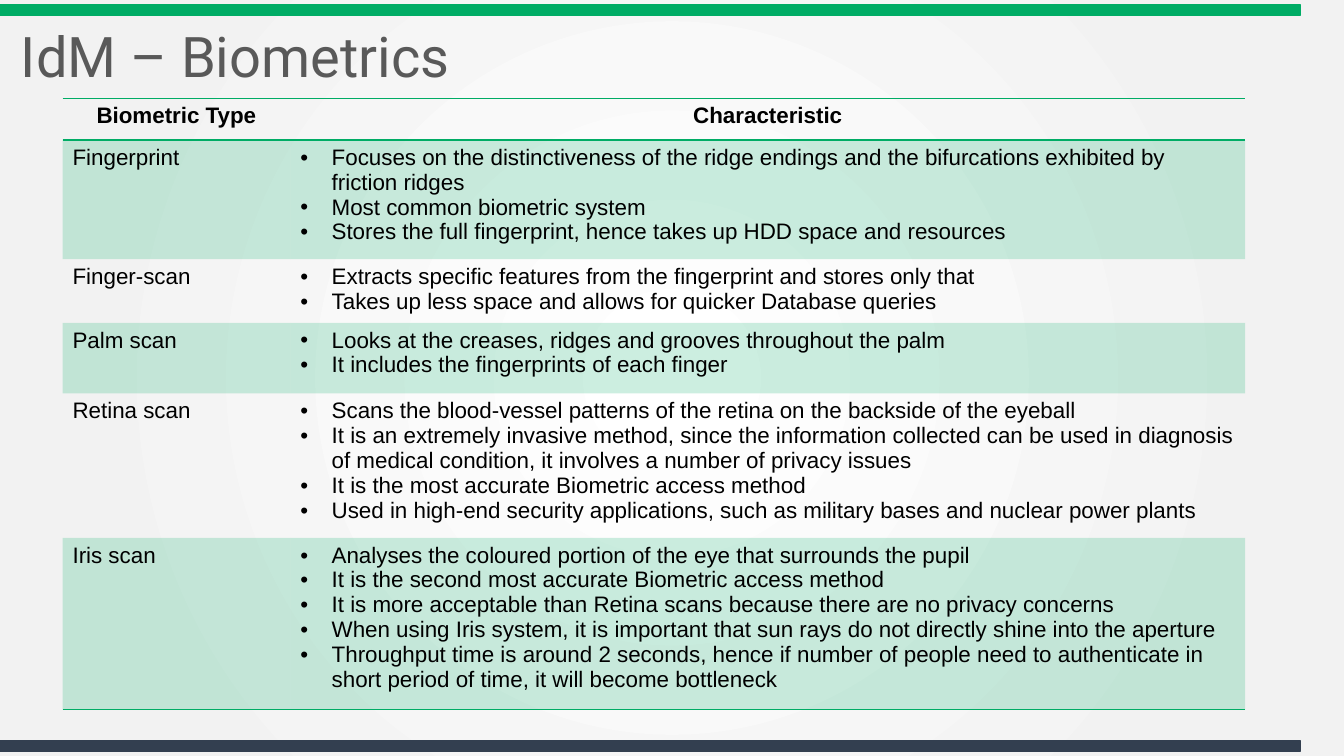
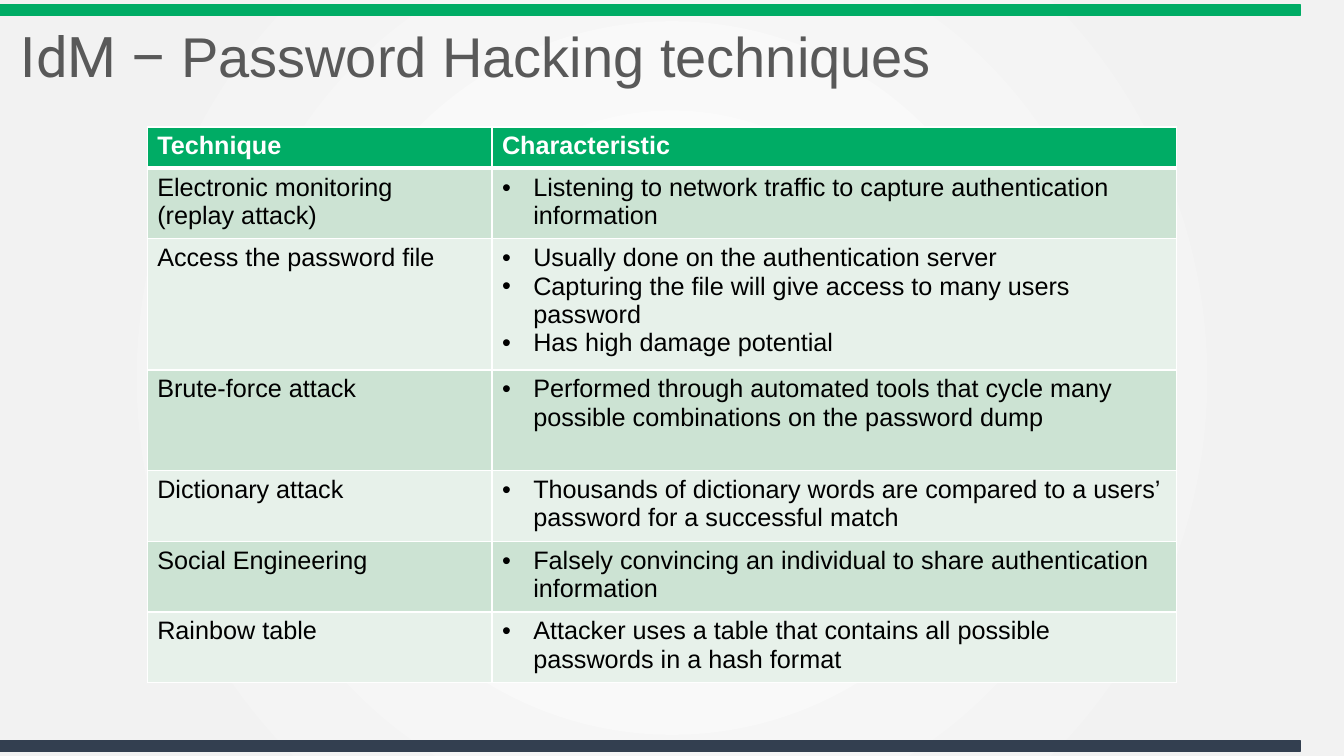
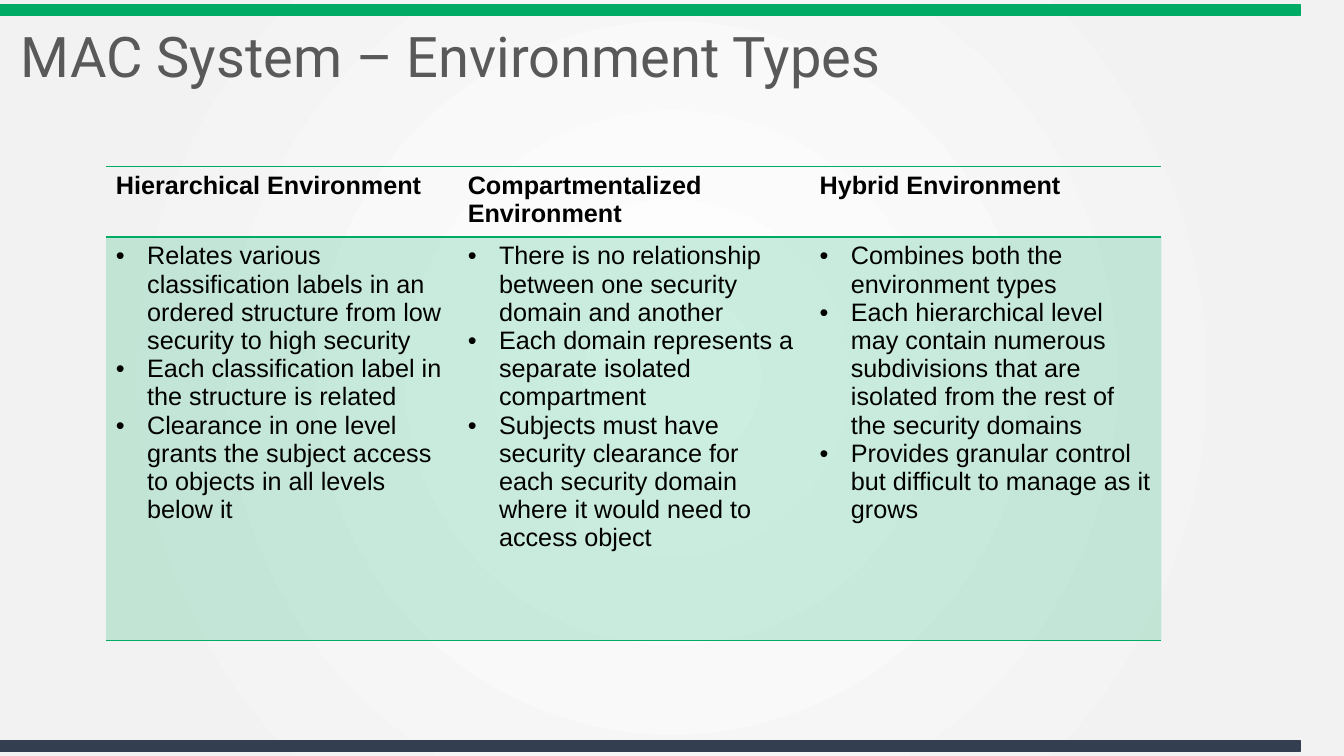
from lxml import etree
from pptx import Presentation
from pptx.dml.color import RGBColor
from pptx.enum.shapes import MSO_SHAPE
from pptx.enum.text import MSO_ANCHOR, PP_ALIGN
from pptx.oxml import parse_xml
from pptx.oxml.ns import nsdecls, qn
from pptx.util import Inches, Pt

RECT = MSO_SHAPE.RECTANGLE
MIDDLE = MSO_ANCHOR.MIDDLE
LEFT, CENTER = PP_ALIGN.LEFT, PP_ALIGN.CENTER

GREEN, NAVY, GREY = "00AC65", "333F50", "595959"
BLACK, WHITE, PALE = "000000", "FFFFFF", "F2F2F2"
BANDS = ("CCE3D3", "E7F1EA")
HEAD, BODY = "Roboto", "Arial"
PLAIN_TABLE = "{2D5ABB26-0587-4C30-8999-92F81FD0307C}"
INDENT = Inches(0.31)

BIOMETRICS = [
    ["Biometric Type", "Characteristic"],
    ["Fingerprint", [
        "Focuses on the distinctiveness of the ridge endings and the "
        "bifurcations exhibited by friction ridges",
        "Most common biometric system",
        "Stores the full fingerprint, hence takes up HDD space and resources"]],
    ["Finger-scan", [
        "Extracts specific features from the fingerprint and stores only that",
        "Takes up less space and allows for quicker Database queries"]],
    ["Palm scan", [
        "Looks at the creases, ridges and grooves throughout the palm",
        "It includes the fingerprints of each finger"]],
    ["Retina scan", [
        "Scans the blood-vessel patterns of the retina on the backside of the eyeball",
        "It is an extremely invasive method, since the information collected can "
        "be used in diagnosis of medical condition, it involves a number of "
        "privacy issues",
        "It is the most accurate Biometric access method",
        "Used in high-end security applications, such as military bases and "
        "nuclear power plants"]],
    ["Iris scan", [
        "Analyses the coloured portion of the eye that surrounds the pupil",
        "It is the second most accurate Biometric access method",
        "It is more acceptable than Retina scans because there are no privacy concerns",
        "When using Iris system, it is important that sun rays do not directly "
        "shine into the aperture",
        "Throughput time is around 2 seconds, hence if number of people need to "
        "authenticate in short period of time, it will become bottleneck"]],
]
HACKING = [
    ["Technique", "Characteristic"],
    ["Electronic monitoring\n(replay attack)", [
        "Listening to network traffic to capture authentication information"]],
    ["Access the password file", [
        "Usually done on the authentication server",
        "Capturing the file will give access to many users password",
        "Has high damage potential"]],
    ["Brute-force attack", [
        "Performed through automated tools that cycle many possible "
        "combinations on the password dump"]],
    ["Dictionary attack", [
        "Thousands of dictionary words are compared to a users’ password for a "
        "successful match"]],
    ["Social Engineering", [
        "Falsely convincing an individual to share authentication information"]],
    ["Rainbow table", [
        "Attacker uses a table that contains all possible passwords in a hash format"]],
]
ENVIRONMENTS = [
    ["Hierarchical Environment", "Compartmentalized Environment", "Hybrid Environment"],
    [["Relates various classification labels in an ordered structure from low "
      "security to high security",
      "Each classification label in the structure is related",
      "Clearance in one level grants the subject access to objects in all "
      "levels below it"],
     ["There is no relationship between one security domain and another",
      "Each domain represents a separate isolated compartment",
      "Subjects must have security clearance for each security domain where it "
      "would need to access object"],
     ["Combines both the environment types",
      "Each hierarchical level may contain numerous subdivisions that are "
      "isolated from the rest of the security domains",
      "Provides granular control but difficult to manage as it grows"]],
]


def color(code):
    return RGBColor.from_string(code)


def write(frame, paras, size=18, ink=BLACK, bold=False, align=LEFT, bullet=False, space=None):
    """Fill a text frame; each paragraph is a list of (text, font) runs."""
    for i, runs in enumerate(paras):
        para = frame.paragraphs[0] if i == 0 else frame.add_paragraph()
        para.alignment = align
        if space:
            para.line_spacing = space
        if bullet:
            props = para._p.get_or_add_pPr()
            props.set("marL", str(INDENT))
            props.set("indent", str(-INDENT))
            etree.SubElement(props, qn("a:buFont")).set("typeface", BODY)
            etree.SubElement(props, qn("a:buChar")).set("char", "•")
        for text, face in runs:
            run = para.add_run()
            run.text = text
            font = run.font
            font.name, font.size, font.bold = face, Pt(size), bold
            font.color.rgb = color(ink)


def paint(master):
    """Give the master its radial background."""
    master.background.fill.gradient()
    old = master.element.find(".//" + qn("a:gradFill"))
    stops = "".join(
        f'<a:gs pos="{pos}000"><a:srgbClr val="{code}"/></a:gs>'
        for pos, code in ((0, WHITE), (81, PALE), (100, PALE)))
    old.getparent().replace(old, parse_xml(
        f'<a:gradFill {nsdecls("a")} rotWithShape="1"><a:gsLst>{stops}</a:gsLst>'
        '<a:path path="circle"><a:fillToRect l="50000" t="50000" r="50000" b="50000"/>'
        '</a:path></a:gradFill>'))


def band(slide, top, code):
    bar = slide.shapes.add_shape(RECT, 0, Inches(top), Inches(12.9), Inches(0.1))
    bar.shadow.inherit = False
    bar.fill.solid()
    bar.fill.fore_color.rgb = color(code)
    bar.line.color.rgb = color(code)
    bar.line.width = Pt(1)


def start(deck, *title):
    """Add a slide with both bands and its title runs."""
    slide = deck.slides.add_slide(deck.slide_layouts[6])
    band(slide, 0.05, GREEN)
    band(slide, 7.35, NAVY)
    box = slide.shapes.add_textbox(Inches(0.11), Inches(0.19), Inches(12.52), Inches(0.8))
    frame = box.text_frame
    frame.word_wrap = True
    frame.vertical_anchor = MIDDLE
    write(frame, [title], size=40, ink=GREY, space=0.9)
    return slide


def shade(cell, code, alpha=None):
    cell.fill.solid()
    cell.fill.fore_color.rgb = color(code)
    if alpha:
        tint = cell._tc.tcPr.find(".//" + qn("a:srgbClr"))
        etree.SubElement(tint, qn("a:alpha")).set("val", str(alpha * 1000))


def edge(cell, sides, code):
    """Draw borders, given as {side: points} in the order L, R, T, B."""
    props = cell._tc.get_or_add_tcPr()
    for i, (side, width) in enumerate(sides.items()):
        props.insert(i, parse_xml(
            f'<a:ln{side} {nsdecls("a")} w="{Pt(width)}"><a:solidFill>'
            f'<a:srgbClr val="{code}"/></a:solidFill></a:ln{side}>'))


def style(cell, row, last, grid):
    """Fill and border a cell: full white grid, or green rules only."""
    sides = {"L": 1, "R": 1} if grid else {}
    if row == 0:
        sides["T"] = 1
    if grid or row in (0, last):
        sides["B"] = 3 if grid and row == 0 else 1
    if grid:
        shade(cell, GREEN if row == 0 else BANDS[(row - 1) % 2])
    elif row % 2:
        shade(cell, GREEN, alpha=20)
    else:
        cell.fill.background()
    edge(cell, sides, WHITE if grid else GREEN)


def chart(slide, left, top, cols, rows, data, size=18, grid=False, align=LEFT):
    """Place a table whose list cells are bulleted; align is for its header."""
    holder = slide.shapes.add_table(
        len(rows), len(cols), Inches(left), Inches(top),
        Inches(sum(cols)), Inches(sum(rows)))
    holder._element.find(".//" + qn("a:tableStyleId")).text = PLAIN_TABLE
    table = holder.table
    table.horz_banding = False
    for col, width in zip(table.columns, cols):
        col.width = Inches(width)
    for r, (height, items) in enumerate(zip(rows, data)):
        table.rows[r].height = Inches(height)
        head = r == 0
        for c, item in enumerate(items):
            cell = table.cell(r, c)
            listed = isinstance(item, list)
            lines = item if listed else item.split("\n")
            write(cell.text_frame, [[(line, BODY)] for line in lines], size=size,
                  ink=WHITE if grid and head else BLACK, bold=head,
                  align=align if head else LEFT, bullet=listed)
            style(cell, r, len(rows) - 1, grid)


def main():
    deck = Presentation()
    deck.slide_width, deck.slide_height = Inches(13.33), Inches(7.5)
    paint(deck.slide_master)

    slide = start(deck, ("IdM – Biometrics", HEAD))
    chart(slide, 0.62, 0.98, [2.26, 9.47], [0.41, 1.18, 0.63, 0.7, 1.43, 1.7],
          BIOMETRICS, size=16, align=CENTER)

    slide = start(deck, ("IdM – ", HEAD), ("Password Hacking techniques", BODY))
    chart(slide, 1.46, 1.26, [3.42, 6.79], [0.41, 0.7, 1.3, 1, 0.7, 0.7, 0.7],
          HACKING, grid=True)

    slide = start(deck, ("MAC System – Environment Types", HEAD))
    chart(slide, 1.05, 1.65, [3.49] * 3, [0.7, 4], ENVIRONMENTS)

    deck.save("out.pptx")


if __name__ == "__main__":
    main()
